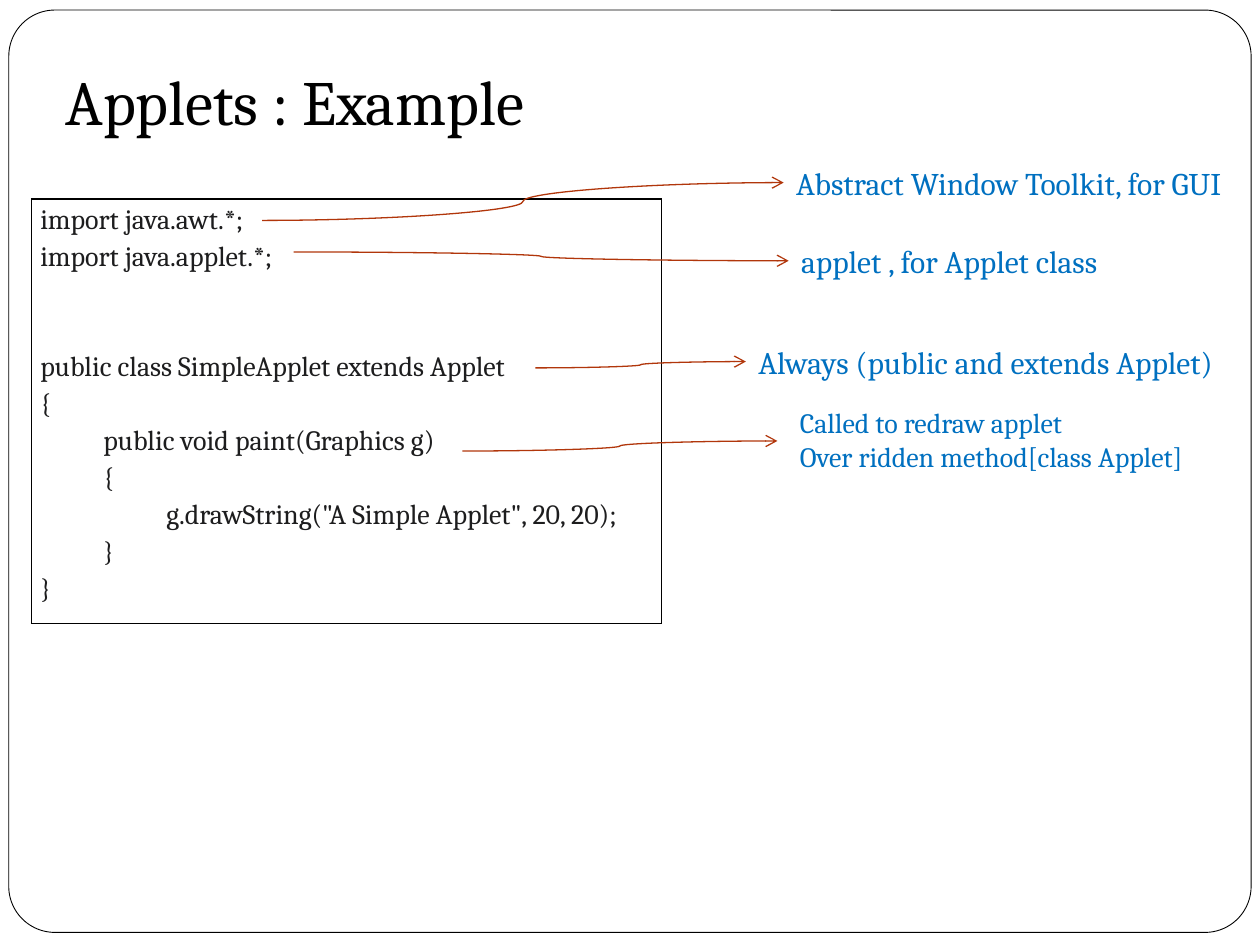
from lxml import etree
from pptx import Presentation
from pptx.dml.color import RGBColor
from pptx.enum.shapes import MSO_CONNECTOR, MSO_SHAPE
from pptx.enum.text import MSO_ANCHOR, PP_ALIGN
from pptx.oxml.ns import qn
from pptx.util import Inches, Pt

ROUNDED = MSO_SHAPE.ROUNDED_RECTANGLE
CURVE = MSO_CONNECTOR.CURVE
JUSTIFY = PP_ALIGN.JUSTIFY
BOTTOM = MSO_ANCHOR.BOTTOM

BLACK = RGBColor(0x00, 0x00, 0x00)
WHITE = RGBColor(0xFF, 0xFF, 0xFF)
CODE_GREY = RGBColor(0x1D, 0x1D, 0x1E)
NOTE_BLUE = RGBColor(0x00, 0x70, 0xC0)
ARROW_RED = RGBColor(0xB1, 0x36, 0x0B)
FONT = "Cambria"
TAB = Inches(0.5)

presentation = Presentation()
presentation.slide_width = Inches(10)
presentation.slide_height = Inches(7.5)
slide = presentation.slides.add_slide(presentation.slide_layouts[6])


def add_line(text_frame, index, text, size, color):
    """Write one paragraph, reusing the first empty one."""
    paragraph = text_frame.paragraphs[0] if index == 0 else text_frame.add_paragraph()
    run = paragraph.add_run()
    run.text = text
    run.font.name = FONT
    run.font.size = Pt(size)
    run.font.color.rgb = color
    return paragraph


def add_text_box(left, top, width, height, lines, size, color):
    """Add a wrapping text box with one paragraph per line."""
    box = slide.shapes.add_textbox(Inches(left), Inches(top), Inches(width), Inches(height))
    box.text_frame.word_wrap = True
    for index, text in enumerate(lines):
        add_line(box.text_frame, index, text, size, color)
    return box


# Rounded frame around the slide
frame = slide.shapes.add_shape(ROUNDED, Inches(0.07), Inches(0.08), Inches(9.86), Inches(7.32))
frame.adjustments[0] = 0.05
frame.shadow.inherit = False
frame.fill.solid()
frame.fill.fore_color.rgb = WHITE
frame.line.color.rgb = BLACK
frame.line.width = Pt(0.5)

# Title
title = add_text_box(0.42, 0.33, 9.25, 0.87, ["Applets : Example"], 36, BLACK)
title.text_frame.vertical_anchor = BOTTOM
title.text_frame.margin_bottom = Inches(0.1)
title.text_frame.paragraphs[0].alignment = JUSTIFY

# Code listing in a one-cell table: text, left margin and first-line indent in tabs, space before
code_lines = [
    ("import java.awt.*;", 0, 0, 0),
    ("import java.applet.*;", 0, 0, 0),
    ("public class SimpleApplet extends Applet", 0, 0, 42),
    ("{", 0, 0, 0),
    ("public void paint(Graphics g)", 1, 0, 0),
    ("{", 1, 0, 0),
    ('g.drawString("A Simple Applet", 20, 20);', 1, 1, 0),
    ("}", 1, 0, 0),
    ("}", 0, 0, 0),
]
table = slide.shapes.add_table(
    1, 1, Inches(0.25), Inches(1.58), Inches(5), Inches(3.37)).table
table.first_row = False
table.horz_banding = False
cell = table.cell(0, 0)
cell.margin_left = cell.margin_right = Inches(0.07)
cell.margin_top = cell.margin_bottom = 0
for index, (text, margin, indent, space) in enumerate(code_lines):
    paragraph = add_line(cell.text_frame, index, text, 16, CODE_GREY)
    paragraph.alignment = JUSTIFY
    paragraph.line_spacing = 1.15
    paragraph.space_before = Pt(space)
    properties = paragraph._p.get_or_add_pPr()
    properties.set("marL", str(margin * TAB))
    properties.set("indent", str(indent * TAB))

# Cell borders go ahead of the fill
cell.fill.background()
cell_properties = cell._tc.get_or_add_tcPr()
for position, side in enumerate(("a:lnL", "a:lnR", "a:lnT", "a:lnB")):
    border = etree.Element(qn(side), w=str(Pt(1)))
    border_fill = etree.SubElement(border, qn("a:solidFill"))
    etree.SubElement(border_fill, qn("a:srgbClr"), val=str(BLACK))
    cell_properties.insert(position, border)

# Notes, each with the curved arrow that leads to it: box, lines, size, start, end
notes = [
    ((6.22, 1.25, 3.78, 0.4), ["Abstract Window Toolkit, for GUI"], 18,
     (2.08, 1.75), (6.22, 1.45)),
    ((6.26, 1.87, 2.71, 0.4), ["applet , for Applet class"], 18,
     (2.33, 2), (6.26, 2.07)),
    ((5.92, 2.67, 4.08, 0.4), ["Always (public and extends Applet)"], 18,
     (4.25, 2.92), (5.92, 2.87)),
    ((6.25, 3.17, 3.67, 0.64),
     ["Called to redraw applet", "Over ridden method[class Applet]"], 16,
     (3.67, 3.58), (6.17, 3.5)),
]
for box, lines, size, start, end in notes:
    add_text_box(*box, lines, size, NOTE_BLUE)
    arrow = slide.shapes.add_connector(CURVE, *map(Inches, start + end))
    arrow.line.color.rgb = ARROW_RED
    arrow.line.width = Pt(0.75)
    etree.SubElement(arrow.line._get_or_add_ln(), qn("a:tailEnd"), type="arrow")
    etree.SubElement(arrow._element.spPr, qn("a:effectLst"))

presentation.save("out.pptx")
